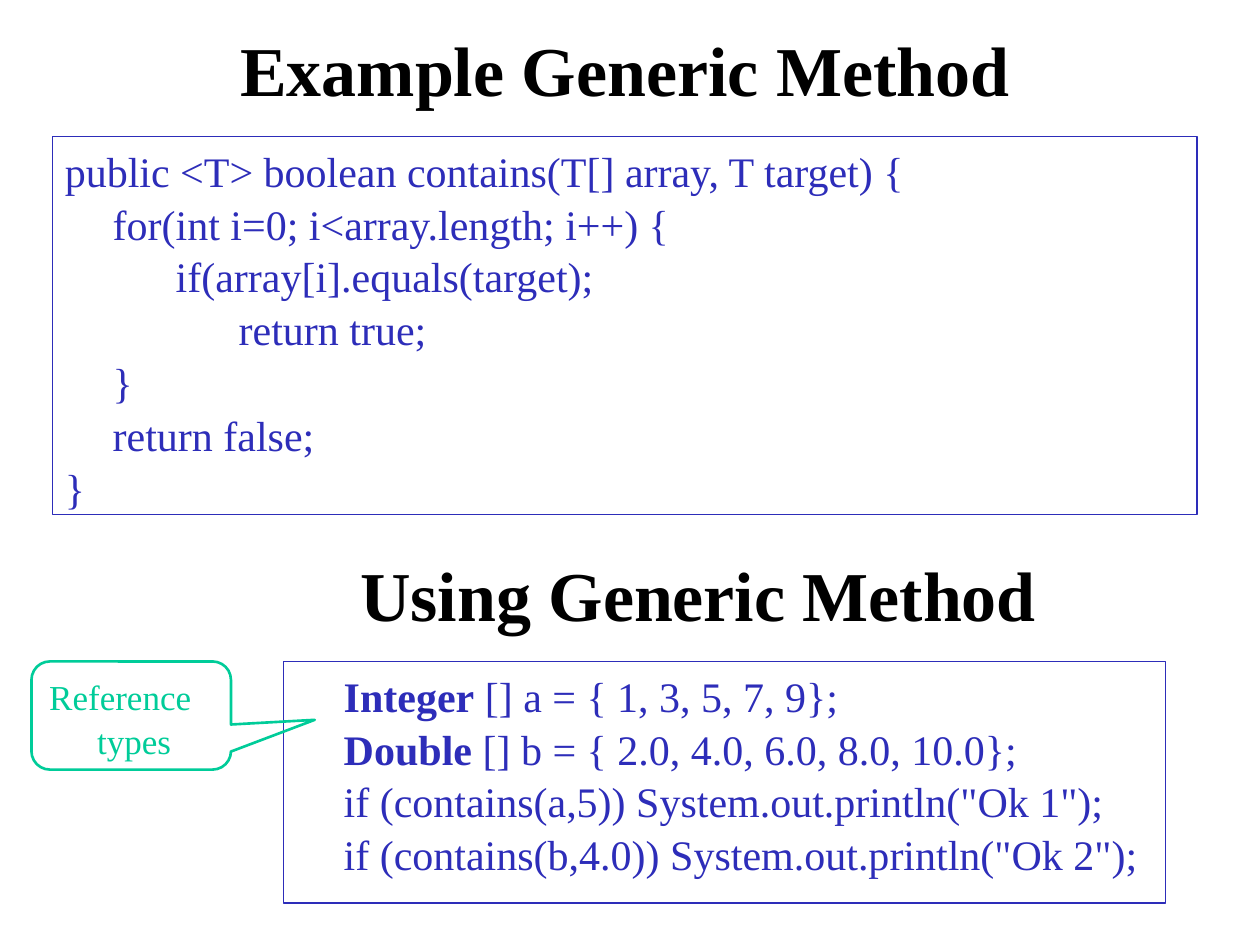
from pptx import Presentation
from pptx.dml.color import RGBColor
from pptx.enum.shapes import MSO_SHAPE as Shape
from pptx.enum.text import MSO_ANCHOR as Anchor, PP_ALIGN as Align
from pptx.util import Inches, Pt

BLACK = RGBColor(0x00, 0x00, 0x00)
BLUE = RGBColor(0x2D, 0x2D, 0xB9)
GREEN = RGBColor(0x00, 0xCC, 0x99)
FONT = "Times New Roman"
UNIT = Inches(1) // 12

deck = Presentation()
deck.slide_width, deck.slide_height = 120 * UNIT, 90 * UNIT
slide = deck.slides.add_slide(deck.slide_layouts[5])
shapes = slide.shapes


def add_text(paragraph, text, size, color, bold=False):
    run = paragraph.add_run()
    run.text = text
    run.font.name, run.font.size, run.font.bold = FONT, Pt(size), bold
    run.font.color.rgb = color


def add_panel(kind, grid, lines, size, color, weight):
    panel = shapes.add_shape(kind, *(round(n * UNIT) for n in grid))
    panel.shadow.inherit = False
    panel.fill.background()
    panel.line.color.rgb = color
    panel.line.width = Pt(weight)
    frame = panel.text_frame
    frame.word_wrap = True
    frame.vertical_anchor = Anchor.TOP
    for row, line in enumerate(lines):
        paragraph = frame.add_paragraph() if row else frame.paragraphs[0]
        paragraph.alignment = Align.LEFT
        paragraph.line_spacing = 1.05
        indent = paragraph._p.get_or_add_pPr()
        indent.set("marL", str(Inches(0.38)))
        indent.set("indent", str(Inches(-0.38)))
        for text, bold in line:
            add_text(paragraph, text, size, color, bold)
    return panel


method_title = shapes.title
usage_title = shapes.add_textbox(0, 0, UNIT, UNIT)
for heading, grid, text in (
    (method_title, (9, 1, 101, 11), "Example Generic Method"),
    (usage_title, (23, 51, 87, 11), "Using Generic Method"),
):
    heading.left, heading.top, heading.width, heading.height = (n * UNIT for n in grid)
    heading.text_frame.word_wrap = True
    heading.text_frame.vertical_anchor = Anchor.MIDDLE
    paragraph = heading.text_frame.paragraphs[0]
    paragraph.alignment = Align.CENTER
    add_text(paragraph, text, 40, BLACK, True)

method_code = [
    "public <T> boolean contains(T[] array, T target) {",
    "\tfor(int i=0; i<array.length; i++) {",
    "\t\tif(array[i].equals(target);",
    "\t\t\treturn true;",
    "\t}",
    "\treturn false;",
    "}",
]
add_panel(Shape.RECTANGLE, (5, 13, 109, 36),
          [[(line, False)] for line in method_code], 24, BLUE, 0.75)

usage_code = [
    [("\t", False), ("Integer", True), (" [] a = { 1, 3, 5, 7, 9};", False)],
    [("\t", False), ("Double", True), (" [] b = { 2.0, 4.0, 6.0, 8.0, 10.0};", False)],
    [('\tif (contains(a,5)) System.out.println("Ok 1");', False)],
    [('\tif (contains(b,4.0)) System.out.println("Ok 2");', False)],
]
add_panel(Shape.RECTANGLE, (27, 63, 84, 23), usage_code, 24, BLUE, 0.75)

types_note = add_panel(Shape.ROUNDED_RECTANGULAR_CALLOUT, (3, 63, 19, 10.3),
                       [[("Reference types", False)]], 20, GREEN, 1.5)
for position, value in enumerate((0.92, 0.04, 0.17)):
    types_note.adjustments[position] = value

deck.save("out.pptx")
